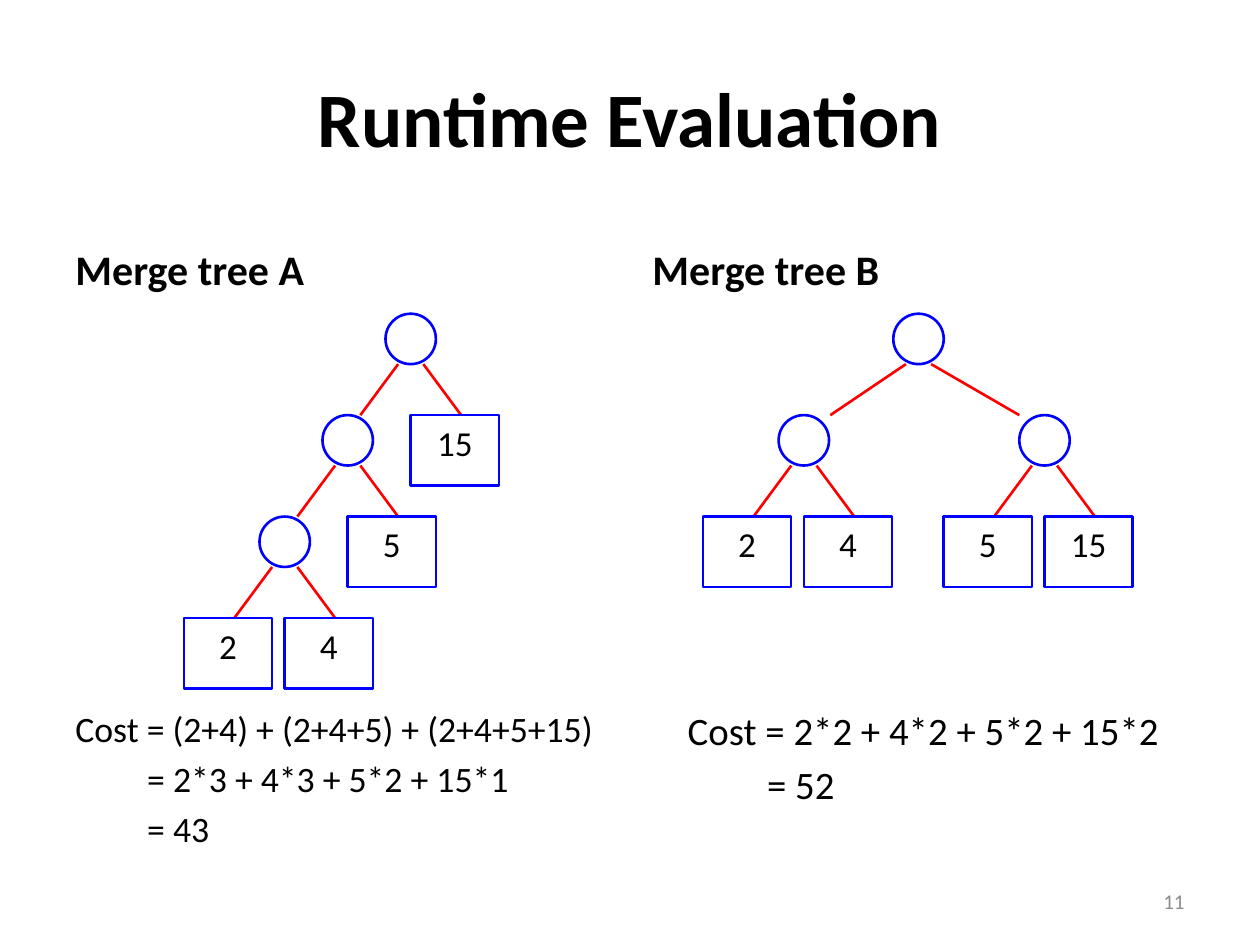
import pptx
import pptx.dml.color
import pptx.enum.shapes
import pptx.enum.text
import pptx.oxml.ns
import pptx.util

Inches = pptx.util.Inches
Shape = pptx.enum.shapes.MSO_SHAPE
Align = pptx.enum.text.PP_ALIGN
Anchor = pptx.enum.text.MSO_ANCHOR

FONT, BLACK, GREY, BLUE, RED = "Calibri", "000000", "8C8C8C", "0000FF", "FF0000"

TITLE, PAGE_NUMBER = "Runtime Evaluation", "11"
# Each joint: (level, centre x, left reach, right reach, left leaf, right leaf);
# a leaf of None means that another joint hangs there.
TREES = [
    {
        "heading": "Merge tree A",
        "joints": [
            (0, 3.26, 0.3, 0.3, None, "15"),
            (1, 2.76, 0.3, 0.3, None, "5"),
            (2, 2.26, 0.3, 0.3, "2", "4"),
        ],
        "cost": [
            ("Cost = (2+4) + (2+4+5) + (2+4+5+15)", 0),
            ("= 2*3 + 4*3 + 5*2 + 15*1", 0.57),
            ("= 43", 0.57),
        ],
        "cost_size": 20.4,
    },
    {
        "heading": "Merge tree B",
        "joints": [
            (0, 7.29, 0.6, 0.7, None, None),
            (1, 6.38, 0.3, 0.3, "2", "4"),
            (1, 8.29, 0.3, 0.3, "5", "15"),
        ],
        "cost": [("Cost = 2*2 + 4*2 + 5*2 + 15*2", 0.28), ("= 52", 0.91)],
        "cost_size": 22.2,
    },
]

WIDTH, HEIGHT, MARGIN = 10, 7.5, 0.5
COLUMN_WIDTH = 4.42
COLUMN_STEP = WIDTH - 2 * MARGIN - COLUMN_WIDTH
TREE_TOP, LEVEL_STEP = 2.49, 0.805
JOINT_SIZE, EDGE_OFFSET = 0.4, 0.1
LEAF_WIDTH, LEAF_HEIGHT, LEAF_STEP = 0.7, 0.56, 0.8


def rgb(value):
    return pptx.dml.color.RGBColor.from_string(value)


def write(frame, lines, size, anchor=Anchor.TOP, align=Align.LEFT,
          color=BLACK, bold=False, spacing=0.0):
    """Fill a frame with (text, indent) lines; spacing is a share of the size."""
    frame.word_wrap = True
    frame.vertical_anchor = anchor
    for index, (text, indent) in enumerate(lines):
        paragraph = frame.add_paragraph() if index else frame.paragraphs[0]
        paragraph.alignment = align
        paragraph.space_before = pptx.util.Pt(spacing * size)
        if indent:
            paragraph._p.get_or_add_pPr().set("marL", str(Inches(indent)))
        run = paragraph.add_run()
        run.text = text
        looks = {"name": FONT, "size": pptx.util.Pt(size), "bold": bold}
        for key, value in looks.items():
            setattr(run.font, key, value)
        run.font.color.rgb = rgb(color)


def add_text(slide, box, lines, size, **looks):
    frame = slide.shapes.add_textbox(*map(Inches, box)).text_frame
    write(frame, lines, size, **looks)


def outline(line, color):
    line.color.rgb = rgb(color)
    line.width = pptx.util.Pt(1.5)


def add_node(slide, kind, *box):
    node = slide.shapes.add_shape(kind, *map(Inches, box))
    node.shadow.inherit = False
    node.fill.background()
    outline(node.line, BLUE)
    return node


def add_edge(slide, *ends):
    edge = slide.shapes.add_connector(
        pptx.enum.shapes.MSO_CONNECTOR.STRAIGHT, *map(Inches, ends))
    outline(edge.line, RED)
    properties = edge._element.spPr
    properties.append(properties.makeelement(pptx.oxml.ns.qn("a:effectLst"), {}))


def add_joint(slide, level, center, left_reach, right_reach, left_leaf, right_leaf):
    """Draw a circle, its two edges and the leaves directly below it."""
    top = TREE_TOP + level * LEVEL_STEP
    child_top = top + LEVEL_STEP
    add_node(slide, Shape.OVAL, center - JOINT_SIZE / 2, top, JOINT_SIZE, JOINT_SIZE)
    branches = [(-1, left_reach, left_leaf, center - LEAF_STEP),
                (1, right_reach, right_leaf, center)]
    for side, reach, label, leaf_left in branches:
        start = center + side * EDGE_OFFSET
        add_edge(slide, start, top + JOINT_SIZE, start + side * reach, child_top)
        if label:
            leaf = add_node(slide, Shape.RECTANGLE, leaf_left, child_top,
                            LEAF_WIDTH, LEAF_HEIGHT)
            write(leaf.text_frame, [(label, 0)], 20, align=Align.CENTER)


def main():
    deck = pptx.Presentation()
    deck.slide_width, deck.slide_height = Inches(WIDTH), Inches(HEIGHT)
    slide = deck.slides.add_slide(deck.slide_layouts[6])

    add_text(slide, (MARGIN, 0.3, WIDTH - 2 * MARGIN, 1.25), [(TITLE, 0)], 44,
             anchor=Anchor.MIDDLE, align=Align.CENTER, bold=True)
    for column, tree in enumerate(TREES):
        left = MARGIN + column * COLUMN_STEP
        add_text(slide, (left, 1.68, COLUMN_WIDTH, 0.7), [(tree["heading"], 0)], 24,
                 anchor=Anchor.BOTTOM, bold=True, spacing=0.2)
        add_text(slide, (left, 5.56, COLUMN_WIDTH, 1.14), tree["cost"],
                 tree["cost_size"], spacing=0.2)
        for joint in tree["joints"]:
            add_joint(slide, *joint)
    add_text(slide, (7.17, 6.95, 2.33, 0.4), [(PAGE_NUMBER, 0)], 12,
             anchor=Anchor.MIDDLE, align=Align.RIGHT, color=GREY)

    deck.save("out.pptx")


if __name__ == "__main__":
    main()
